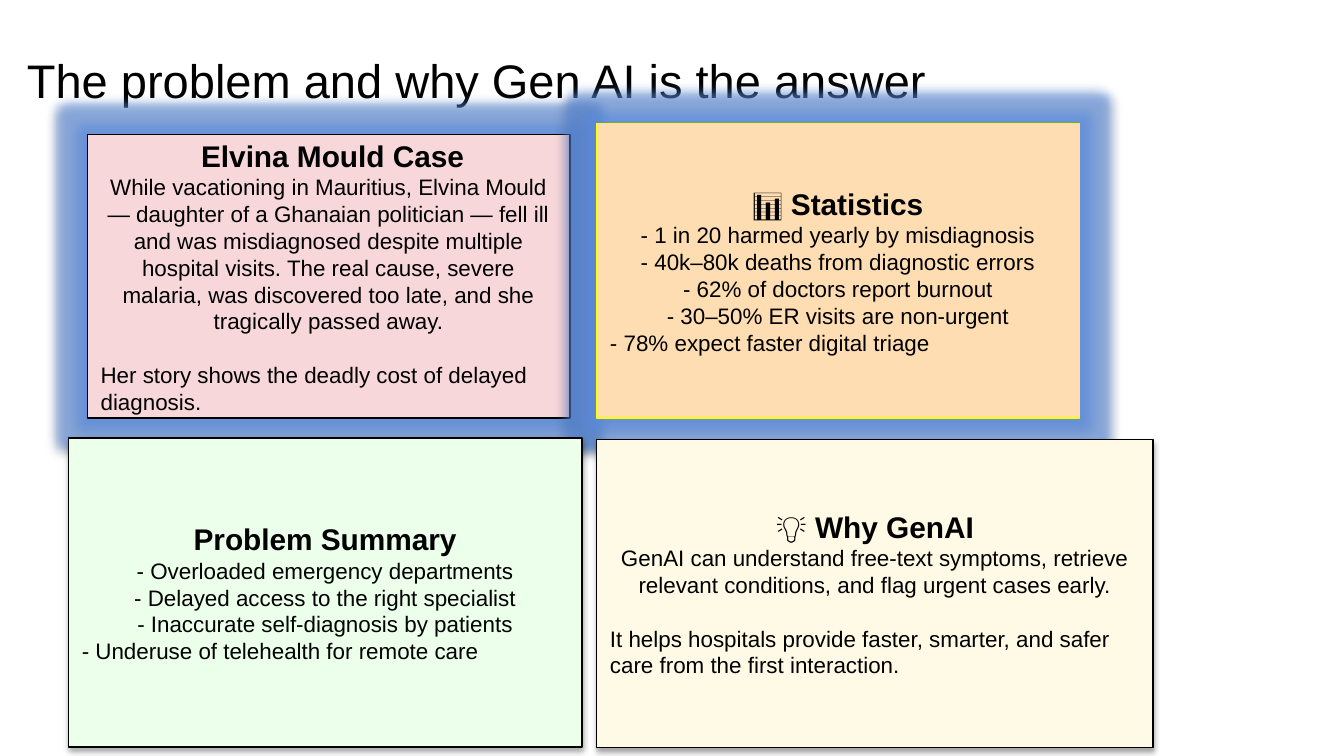
from lxml import etree
from pptx import Presentation
from pptx.dml.color import RGBColor
from pptx.enum.shapes import MSO_SHAPE
from pptx.enum.text import MSO_ANCHOR, PP_ALIGN
from pptx.oxml import parse_xml
from pptx.oxml.ns import nsdecls, qn
from pptx.util import Inches, Pt

COLORS = {
    "text": "000000", "outline": "000000", "yellow": "FFFF00", "glow": "5B8DE0",
    "pink": "F8D7DA", "orange": "FFDDB3", "green": "EBFFEB", "cream": "FFFAE6",
}


def rgb(name):
    return RGBColor.from_string(COLORS[name])


class Deck:
    font = "Arial"

    def __init__(self, prs):
        self.s = prs.slides.add_slide(prs.slide_layouts[5])

    def format(self, p, size, bold=False, align=PP_ALIGN.CENTER):
        p.alignment = align
        for r in p.runs:
            r.font.name = self.font
            r.font.size = Pt(size)
            r.font.bold = bold
            r.font.color.rgb = rgb("text")

    def title(self, text, left, top, width, height):
        sp = self.s.shapes.title
        sp.left, sp.top = Inches(left), Inches(top)
        sp.width, sp.height = Inches(width), Inches(height)
        tf = sp.text_frame
        tf.text = text
        tf.word_wrap = True
        tf.vertical_anchor = MSO_ANCHOR.TOP
        tf.margin_left = tf.margin_right = Inches(0.1)
        tf.margin_top = tf.margin_bottom = Inches(0.1)
        self.format(tf.paragraphs[0], 25.2, align=PP_ALIGN.LEFT)

    def effects(self, sp, glow):
        sp.shadow.inherit = False
        effects = sp._element.spPr.find(qn("a:effectLst"))
        if glow:
            effects.append(parse_xml(
                f'<a:glow {nsdecls("a")} rad="139700"><a:srgbClr val="{COLORS["glow"]}">'
                '<a:alpha val="60000"/></a:srgbClr></a:glow>'))
        shadow = etree.SubElement(effects, qn("a:outerShdw"), blurRad=str(Pt(3.1)),
                                  dist=str(Pt(1.8)), dir="5400000", rotWithShape="0")
        color = etree.SubElement(shadow, qn("a:srgbClr"), val=COLORS["outline"])
        etree.SubElement(color, qn("a:alpha"), val="35000")

    def card(self, box, fill, heading, lines, closing, gap=0, line="outline", glow=False):
        """Centred heading and lines, then a left-aligned closing line."""
        sp = self.s.shapes.add_shape(MSO_SHAPE.RECTANGLE, *map(Inches, box))
        sp.fill.solid()
        sp.fill.fore_color.rgb = rgb(fill)
        sp.line.color.rgb = rgb(line)
        sp.line.width = Pt(0.75)
        self.effects(sp, glow)
        tf = sp.text_frame
        tf.word_wrap = True
        tf.vertical_anchor = MSO_ANCHOR.MIDDLE
        tf.text = heading
        self.format(tf.paragraphs[0], 16, bold=True)
        for text in lines:
            p = tf.add_paragraph()
            p.text = text
            self.format(p, 12)
        p = tf.add_paragraph()
        p.text = closing
        self.format(p, 12, align=PP_ALIGN.LEFT)
        if gap:
            p.space_before = Pt(gap)


def main():
    prs = Presentation()
    # Widescreen, 16:9
    prs.slide_width = Inches(10)
    prs.slide_height = prs.slide_width * 9 // 16
    deck = Deck(prs)

    deck.title("The problem and why Gen AI is the answer", 0.1, 0.28, 7.24, 0.49)

    # Top row: glowing cards
    deck.card((0.65, 1, 3.59, 2.11), "pink", " Elvina Mould Case", [
        "While vacationing in Mauritius, Elvina Mould — daughter of a Ghanaian "
        "politician — fell ill and was misdiagnosed despite multiple hospital visits. "
        "The real cause, severe malaria, was discovered too late, and she tragically "
        "passed away.",
    ], "Her story shows the deadly cost of delayed diagnosis.", gap=14.4, glow=True)
    deck.card((4.44, 0.92, 3.59, 2.19), "orange", "📊 Statistics", [
        "- 1 in 20 harmed yearly by misdiagnosis",
        "- 40k–80k deaths from diagnostic errors",
        "- 62% of doctors report burnout",
        "- 30–50% ER visits are non-urgent",
    ], "- 78% expect faster digital triage", line="yellow", glow=True)

    # Bottom row: plain cards
    deck.card((0.51, 3.26, 3.82, 2.3), "green", "Problem Summary", [
        "- Overloaded emergency departments",
        "- Delayed access to the right specialist",
        "- Inaccurate self-diagnosis by patients",
    ], "- Underuse of telehealth for remote care")
    deck.card((4.44, 3.27, 4.14, 2.29), "cream", "💡 Why GenAI", [
        "GenAI can understand free-text symptoms, retrieve relevant conditions, "
        "and flag urgent cases early.",
    ], "It helps hospitals provide faster, smarter, and safer care from the first "
       "interaction.", gap=14.4)

    prs.save("out.pptx")


if __name__ == "__main__":
    main()
